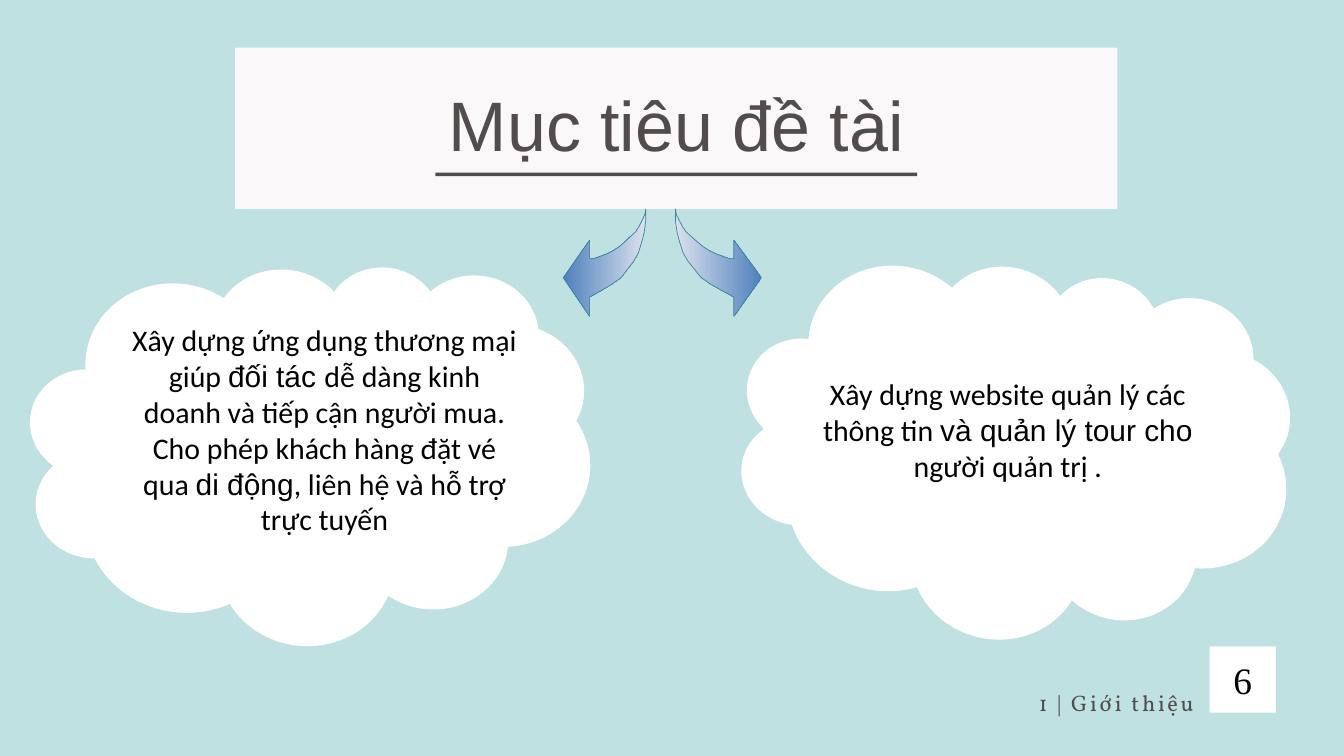
from dataclasses import dataclass

import pptx
import pptx.dml.color
import pptx.enum.shapes
import pptx.enum.text
import pptx.util

Cm = pptx.util.Cm
Pt = pptx.util.Pt
Kind = pptx.enum.shapes.MSO_SHAPE
Anchor = pptx.enum.text.MSO_ANCHOR

COLORS = {
    "sea": "C0E1E1", "banner": "FAF8F8", "ink": "524C4C", "white": "FFFFFF",
    "black": "000000", "arrow_dark": "4F81BD", "arrow_light": "DBE1ED",
    "arrow_line": "31859C",
}
# Curved arrow outline, in percent of its reach and height, from tail to tip and back
ARROW_OUTLINE = [
    (0, 0), (0, 11), (2, 22), (5, 31), (9, 41), (15, 49), (22, 56), (30, 64),
    (41, 70), (54, 76), (68, 82), (68, 100), (100, 64), (68, 29), (68, 46),
    (62, 46), (55, 44), (48, 42), (40, 39), (32, 35), (26, 31), (19, 26),
    (12, 21), (8, 16), (4, 10), (1, 5),
]
ARROW_TOP, ARROW_HEIGHT = 7.9, 4.06


@dataclass
class Area:
    left: float
    top: float
    width: float
    height: float

    def lengths(self) -> list:
        return [Cm(n) for n in (self.left, self.top, self.width, self.height)]


@dataclass
class Style:
    font: str
    size: float
    color: str = "black"
    spacing: float = 0


@dataclass
class Cloud:
    area: Area
    rotation: float
    text_area: Area
    paras: list


@dataclass
class Arrow:
    tail: float
    reach: float  # negative points left
    stops: tuple


BODY = Style("Calibri", 32)
BODY_ARIAL = Style("Arial", 32)
CLOUDS = [
    Cloud(Area(1.12, 9.88, 21.16, 14.45), 4.9, Area(4.65, 12.04, 15.24, 11.2), [
        [("Xây dựng ứng dụng thương mại giúp ", BODY), ("đối tác ", BODY_ARIAL),
         ("dễ dàng kinh doanh và tiếp cận người mua.", BODY)],
        [("Cho phép khách hàng đặt vé qua ", BODY), ("di động", BODY_ARIAL),
         (", liên hệ và hỗ trợ trực tuyến", BODY)],
    ]),
    Cloud(Area(27.99, 9.88, 20.73, 14.25), 12.7, Area(30.48, 14.07, 15.24, 4.37), [
        [("Xây dựng website quản lý các thông tin ", BODY),
         ("và quản lý tour cho ", BODY_ARIAL), ("người quản trị .", BODY)],
    ]),
]
ARROWS = [
    Arrow(24.41, -3.12, ("arrow_dark", "arrow_light")),
    Arrow(25.53, 3.25, ("arrow_light", "arrow_dark")),
]


def rgb(name: str) -> pptx.dml.color.RGBColor:
    return pptx.dml.color.RGBColor.from_string(COLORS[name])


def write(frame, paras: list, line_spacing: float = 0) -> None:
    frame.word_wrap = True
    for index, spans in enumerate(paras):
        para = frame.add_paragraph() if index else frame.paragraphs[0]
        para.alignment = pptx.enum.text.PP_ALIGN.CENTER
        if line_spacing:
            para.line_spacing = Pt(line_spacing)
        for text, style in spans:
            span = para.add_run()
            span.text = text
            span.font.name = style.font
            span.font.size = Pt(style.size)
            span.font.color.rgb = rgb(style.color)
            if style.spacing:
                span._r.get_or_add_rPr().set("spc", str(round(style.spacing * 100)))


def add_text(page, area: Area, paras: list, line_spacing: float = 0,
             inset: bool = True) -> None:
    frame = page.shapes.add_textbox(*area.lengths()).text_frame
    if not inset:
        frame.margin_left = frame.margin_right = 0
        frame.margin_top = frame.margin_bottom = 0
    write(frame, paras, line_spacing)


def add_block(page, kind, area: Area, color: str):
    block = page.shapes.add_shape(kind, *area.lengths())
    block.shadow.inherit = False
    block.fill.solid()
    block.fill.fore_color.rgb = rgb(color)
    block.line.fill.background()
    return block


def add_cloud(page, cloud: Cloud) -> None:
    shape = add_block(page, Kind.CLOUD, cloud.area, "white")
    shape.rotation = cloud.rotation
    shape.line.color.rgb = rgb("white")
    shape.line.width = Pt(2)
    add_text(page, cloud.text_area, cloud.paras)


def add_arrow(page, arrow: Arrow) -> None:
    points = [(Cm(arrow.tail + arrow.reach * x / 100),
               Cm(ARROW_TOP + ARROW_HEIGHT * y / 100)) for x, y in ARROW_OUTLINE]
    builder = page.shapes.build_freeform(*points[0])
    builder.add_line_segments(points[1:], close=True)
    shape = builder.convert_to_shape()
    shape.shadow.inherit = False
    shape.fill.gradient()
    shape.fill.gradient_angle = 0
    for stop, color in zip(shape.fill.gradient_stops, arrow.stops):
        stop.color.rgb = rgb(color)
    shape.line.color.rgb = rgb("arrow_line")
    shape.line.width = Pt(0.75)


# Page
deck = pptx.Presentation()
deck.slide_width, deck.slide_height = Cm(50.8), Cm(28.575)
page = deck.slides.add_slide(deck.slide_layouts[6])
page.background.fill.solid()
page.background.fill.fore_color.rgb = rgb("sea")

# Title banner
add_block(page, Kind.RECTANGLE, Area(8.89, 1.8, 33.35, 6.1), "banner")
add_text(page, Area(10.23, 3.33, 30.68, 3.02),
         [[("Mục tiêu đề tài", Style("Arial", 75, "ink"))]], 82.5, inset=False)

# Goals
for cloud in CLOUDS:
    add_cloud(page, cloud)
for arrow in ARROWS:
    add_arrow(page, arrow)

# Title underline
add_block(page, Kind.RECTANGLE, Area(16.46, 6.53, 18.21, 0.13), "ink")

# Page number and section name
badge = add_block(page, Kind.RECTANGLE, Area(45.72, 24.43, 2.51, 2.51), "white")
badge.text_frame.vertical_anchor = Anchor.MIDDLE
write(badge.text_frame, [[("6", Style("Times New Roman", 40))]])
add_text(page, Area(31.55, 25.86, 21.29, 1.12),
         [[("1 | Giới thiệu", Style("Vollkorn", 24, "ink", 2.9))]], 33.6, inset=False)

deck.save("out.pptx")
